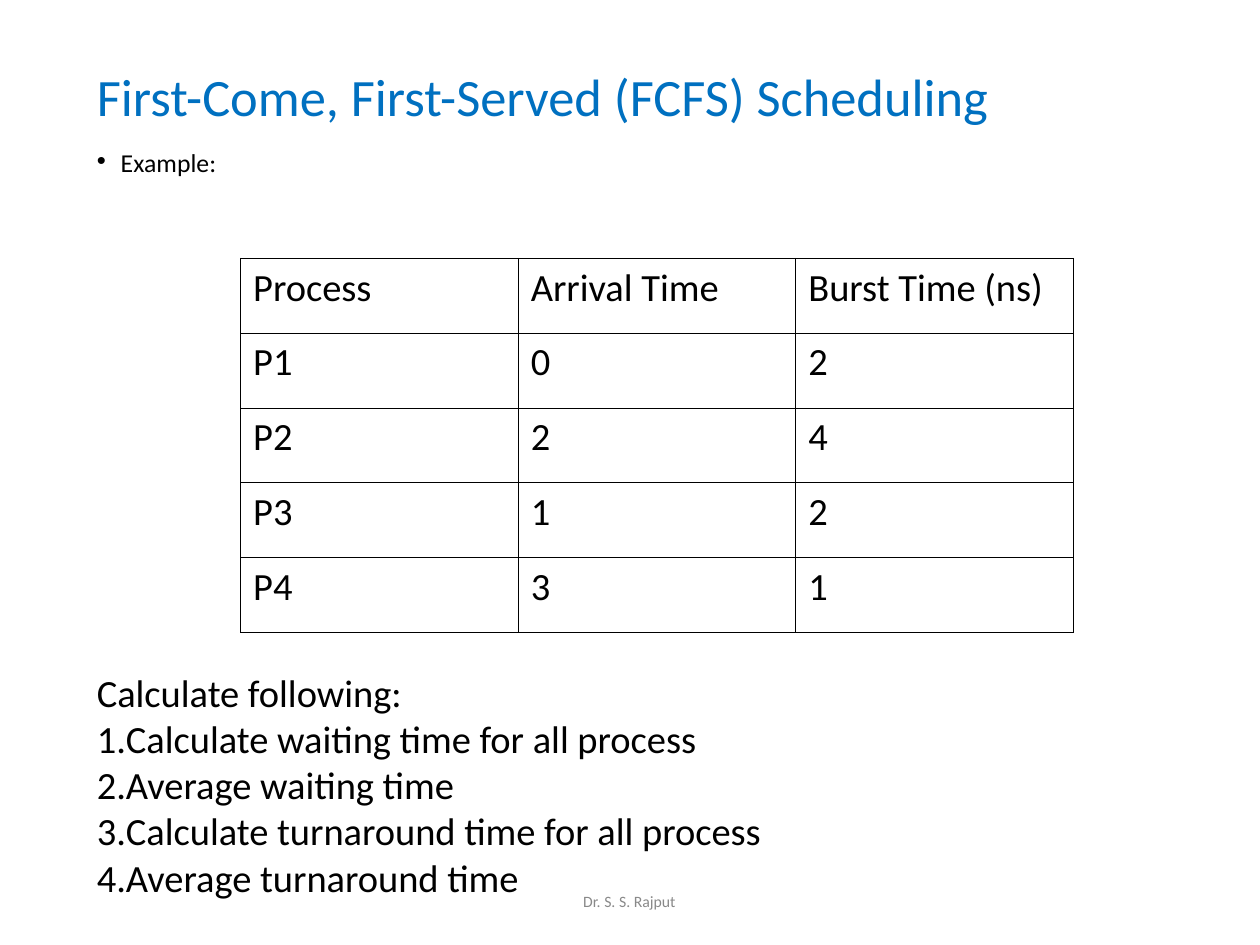
from lxml import etree
from pptx import Presentation
from pptx.dml.color import RGBColor
from pptx.enum.text import MSO_ANCHOR, PP_ALIGN
from pptx.oxml.ns import qn
from pptx.util import Inches, Pt

TOP, MIDDLE = MSO_ANCHOR.TOP, MSO_ANCHOR.MIDDLE
LEFT, CENTER = PP_ALIGN.LEFT, PP_ALIGN.CENTER
COLORS = {"title": "0070C0", "text": "000000", "footer": "898989"}
FONT = "Calibri"
BODY_SIZE = 22
BORDER_WIDTH = 0.45
CELL = Inches(0.1)  # the slide is a grid of 100 columns and 75 rows
COLUMNS, ROWS = 100, 75
MARGIN = 6.7

PROCESSES = [
    ("Process", "Arrival Time", "Burst Time (ns)"),
    ("P1", "0", "2"),
    ("P2", "2", "4"),
    ("P3", "1", "2"),
    ("P4", "3", "1"),
]
TASKS = [
    "Calculate waiting time for all process",
    "Average waiting time",
    "Calculate turnaround time for all process",
    "Average turnaround time",
]


def grid(*cells):
    return [round(cell * CELL) for cell in cells]


def write(paragraph, text, size=BODY_SIZE, color="text", align=LEFT, spacing=None, before=None):
    paragraph.alignment = align
    if spacing:
        paragraph.line_spacing = spacing
    if before:
        paragraph.space_before = Pt(before)
    run = paragraph.add_run()
    run.text = text
    run.font.name = FONT
    run.font.size = Pt(size)
    run.font.color.rgb = RGBColor.from_string(COLORS[color])


def add_bullet(paragraph, tag, indent=0, **attributes):
    """Mark a paragraph with a buChar or buAutoNum and a hanging indent in inches."""
    properties = paragraph._p.get_or_add_pPr()
    properties.set("marL", str(Inches(indent)))
    properties.set("indent", str(-Inches(indent)))
    if tag == "a:buChar":
        etree.SubElement(properties, qn("a:buFont"), typeface="Arial")
    etree.SubElement(properties, qn(tag), **attributes)


def add_borders(cell):
    properties = cell._tc.get_or_add_tcPr()
    for position, side in enumerate(("a:lnL", "a:lnR", "a:lnT", "a:lnB")):
        line = etree.Element(qn(side), w=str(Pt(BORDER_WIDTH)))
        fill = etree.SubElement(line, qn("a:solidFill"))
        etree.SubElement(fill, qn("a:srgbClr"), val=COLORS["text"])
        properties.insert(position, line)


class SlideBuilder:
    """Holds the slide and adds elements placed in grid cells."""

    def __init__(self, presentation):
        self.slide = presentation.slides.add_slide(presentation.slide_layouts[6])

    def text_box(self, left, top, width, height, lines, anchor=TOP, **style):
        """Add one paragraph per line and return the paragraphs."""
        frame = self.slide.shapes.add_textbox(*grid(left, top, width, height)).text_frame
        frame.word_wrap = True
        frame.vertical_anchor = anchor
        for number, line in enumerate(lines):
            paragraph = frame.add_paragraph() if number else frame.paragraphs[0]
            write(paragraph, line, **style)
        return frame.paragraphs

    def table(self, left, top, width, height, rows):
        shape = self.slide.shapes.add_table(
            len(rows), len(rows[0]), *grid(left, top, width, height))
        table = shape.table
        table.first_row = table.horz_banding = False
        for row_number, row in enumerate(rows):
            for column_number, text in enumerate(row):
                cell = table.cell(row_number, column_number)
                cell.fill.background()
                add_borders(cell)
                write(cell.text_frame.paragraphs[0], text)


def main():
    presentation = Presentation()
    presentation.slide_width, presentation.slide_height = grid(COLUMNS, ROWS)
    builder = SlideBuilder(presentation)

    builder.text_box(MARGIN, 5.4, 86.7, 5, ["First-Come, First-Served (FCFS) Scheduling"],
                     anchor=MIDDLE, size=30, color="title", spacing=0.9)
    example = builder.text_box(MARGIN, 11.8, 86.3, 6.2, ["Example:"],
                               size=14.7, spacing=0.7, before=7.5)
    add_bullet(example[0], "a:buChar", indent=0.19, char="•")
    builder.text_box(33.1, 69.5, 33.7, 4, ["Dr. S. S. Rajput"],
                     anchor=MIDDLE, size=9, color="footer", align=CENTER)
    builder.table(19.1, 20.5, 66.1, 29.7, PROCESSES)
    questions = builder.text_box(MARGIN, 52.6, 93.1, 26.7, ["Calculate following:", *TASKS])
    for task in questions[1:]:
        add_bullet(task, "a:buAutoNum", type="arabicPeriod")

    presentation.save("out.pptx")


if __name__ == "__main__":
    main()
